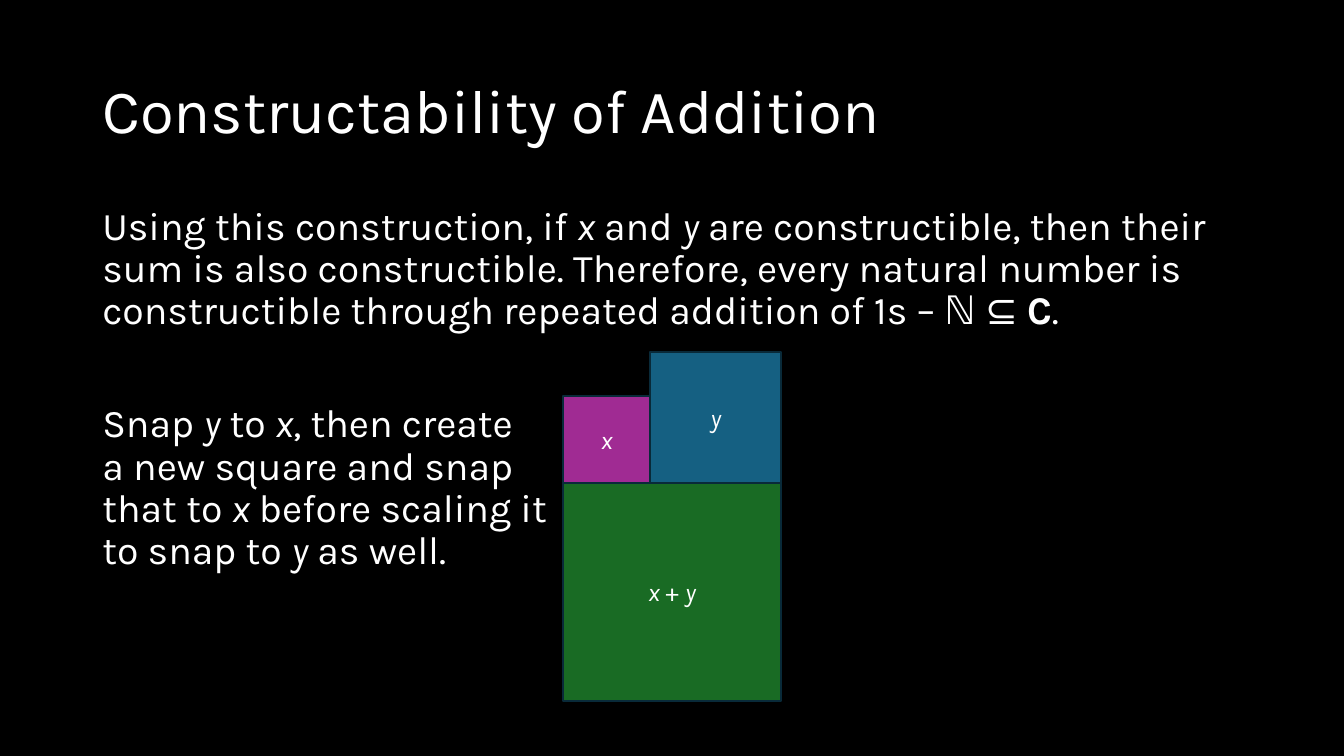
import pptx
import pptx.dml.color
import pptx.enum.shapes
import pptx.enum.text
import pptx.util

Cm, Pt = pptx.util.Cm, pptx.util.Pt
RGB = pptx.dml.color.RGBColor.from_string
ANCHOR = pptx.enum.text.MSO_ANCHOR
ALIGN = pptx.enum.text.PP_ALIGN

COLORS = {
    "background": "000000",
    "text": "FFFFFF",
    "outline": "092A39",
    "x": "A02B93",
    "y": "156082",
    "sum": "196B24",
}
ITALIC = {"italic": True}
BOLD = {"bold": True}
X, Y = ("x", ITALIC), ("y", ITALIC)

STATEMENT = [
    "Using this construction, if ", X, " and ", Y,
    " are constructible, then their sum is also constructible. Therefore, "
    "every natural number is constructible through repeated addition of 1s – ℕ ⊆ ",
    ("C", BOLD), ".",
]
STEPS = [
    "Snap ", Y, " to ", X, ", then create\na new square and snap\nthat to ", X,
    " before scaling it\nto snap to ", Y, " as well.",
]


def add_runs(p, parts, size):
    """Fill a paragraph from strings and (string, format) pairs; a newline breaks the line."""
    for part in parts:
        text, extra = (part, {}) if isinstance(part, str) else part
        for i, line in enumerate(text.split("\n")):
            if i:
                p.add_line_break()
            r = p.add_run()
            r.text = line
            for name, value in {"name": "Karla", "size": Pt(size), **extra}.items():
                setattr(r.font, name, value)
            r.font.color.rgb = RGB(COLORS["text"])


def add_text(s, box, paragraphs, size, anchor, gap=0):
    tf = s.shapes.add_textbox(*map(Cm, box)).text_frame
    tf.word_wrap = True
    tf.vertical_anchor = anchor
    for i, parts in enumerate(paragraphs):
        p = tf.add_paragraph() if i else tf.paragraphs[0]
        for name, value in {"line_spacing": 0.9, "space_before": Pt(gap if i else 0)}.items():
            setattr(p, name, value)
        add_runs(p, parts, size)


def add_square(s, left, bottom, side, color, label):
    sp = s.shapes.add_shape(pptx.enum.shapes.MSO_SHAPE.RECTANGLE,
                            Cm(left), Cm(bottom - side), Cm(side), Cm(side))
    sp.shadow.inherit = False
    sp.fill.solid()
    sp.fill.fore_color.rgb = RGB(COLORS[color])
    sp.line.color.rgb = RGB(COLORS["outline"])
    sp.line.width = Pt(1.5)
    tf = sp.text_frame
    tf.vertical_anchor = ANCHOR.MIDDLE
    p = tf.paragraphs[0]
    p.alignment = ALIGN.CENTER
    add_runs(p, label, 18)


def main():
    prs = pptx.Presentation()
    prs.slide_width, prs.slide_height = Cm(33.87), Cm(19.05)
    s = prs.slides.add_slide(prs.slide_layouts[6])
    s.background.fill.solid()
    s.background.fill.fore_color.rgb = RGB(COLORS["background"])

    add_text(s, (2.33, 1.01, 29.21, 3.68), [["Constructability of Addition"]], 44, ANCHOR.MIDDLE)
    add_text(s, (2.33, 5.07, 29.21, 12.09), [STATEMENT, STEPS], 28, ANCHOR.TOP, gap=50.5)

    left, base = 14.19, 12.17
    x, y = 2.2, 3.29
    add_square(s, left, base, x, "x", [X])
    add_square(s, left + x, base, y, "y", [Y])
    add_square(s, left, base + x + y, x + y, "sum", [X, " + ", Y])

    prs.save("out.pptx")


if __name__ == "__main__":
    main()
